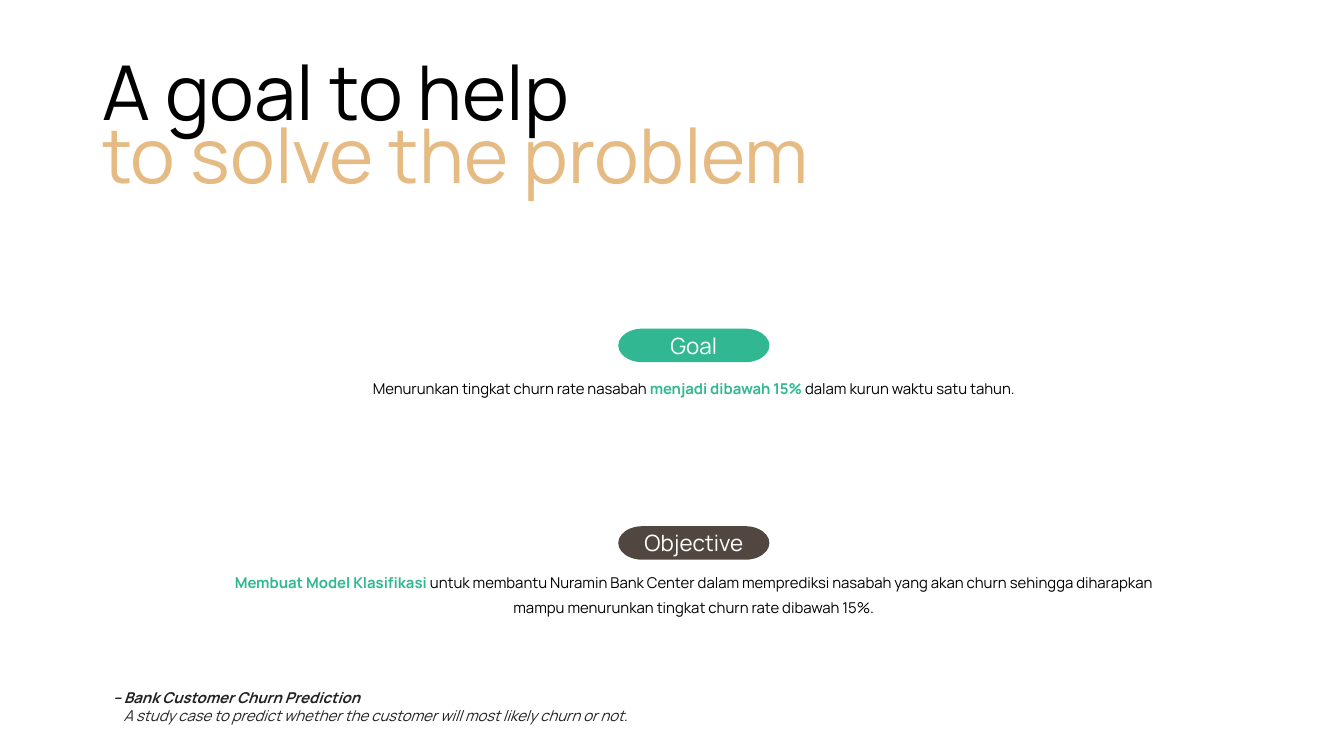
from dataclasses import dataclass
from typing import Any, NamedTuple

from pptx import Presentation, util as u
from pptx.dml import color
from pptx.enum import shapes, text

WIDTH, HEIGHT = u.Inches(20), u.Inches(11.25)
TITLE_ONLY = 5


@dataclass(frozen=True)
class Theme:
    font: str = "Manrope"
    black: str = "000000"
    sand: str = "E5BB83"
    green: str = "31B791"
    brown: str = "524740"
    ink: str = "232324"
    white: str = "FFFFFF"
    title_size: int = 81
    label_size: int = 24
    body_size: int = 16


THEME = Theme()


class Box(NamedTuple):
    """Percentages of the slide's width and height."""
    left: float
    top: float
    width: float
    height: float


class Run(NamedTuple):
    words: str
    color: str
    size: int = THEME.body_size
    bold: bool = False
    italic: bool = False


class Section(NamedTuple):
    label: str
    fill: str
    label_top: float
    body_top: float
    body_height: float
    runs: list[Run]


HEADING_LINES = [
    (Run("A goal to help", THEME.black, THEME.title_size), Box(7.6, 3.47, 44, 14.49)),
    (Run("to solve the problem", THEME.sand, THEME.title_size), Box(7.6, 11.91, 59.95, 14.49)),
]
SECTIONS = [
    Section("Goal", THEME.green, 43.47, 49.24, 3.38, [
        Run("Menurunkan tingkat churn rate nasabah ", THEME.black),
        Run("menjadi dibawah 15% ", THEME.green, bold=True),
        Run("dalam kurun waktu satu tahun.", THEME.black),
    ]),
    Section("Objective", THEME.brown, 69.6, 74.93, 6.67, [
        Run("Membuat Model Klasifikasi ", THEME.green, bold=True),
        Run("untuk membantu Nuramin Bank Center dalam memprediksi nasabah yang akan churn "
            "sehingga diharapkan mampu menurunkan tingkat churn rate dibawah 15%.", THEME.black),
    ]),
]
FOOTER_BOX = Box(7.6, 90.67, 48, 5.69)
FOOTER_LINES = [
    (Run("– Bank Customer Churn Prediction", THEME.ink, bold=True, italic=True), 0.06),
    (Run("A study case to predict whether the customer will most likely churn or not.",
         THEME.ink, italic=True), 0.22),
]


def apply(target: Any, values: dict[str, Any]) -> None:
    for name, value in values.items():
        setattr(target, name, value)


def place(box: Box) -> tuple[int, int, int, int]:
    return (round(WIDTH * box.left / 100), round(HEIGHT * box.top / 100),
            round(WIDTH * box.width / 100), round(HEIGHT * box.height / 100))


def write(paragraph: Any, runs: list[Run], values: dict[str, Any]) -> None:
    apply(paragraph, values)
    for item in runs:
        run = paragraph.add_run()
        run.text = item.words
        apply(run.font, {"name": THEME.font, "size": u.Pt(item.size),
                         "bold": item.bold, "italic": item.italic})
        run.font.color.rgb = color.RGBColor.from_string(item.color)


def set_frame(shape: Any, margin: float = 0) -> Any:
    frame = shape.text_frame
    apply(frame, {"word_wrap": True, "vertical_anchor": text.MSO_ANCHOR.TOP,
                  "auto_size": text.MSO_AUTO_SIZE.SHAPE_TO_FIT_TEXT,
                  "margin_left": u.Inches(2 * margin), "margin_right": u.Inches(2 * margin),
                  "margin_top": u.Inches(margin), "margin_bottom": u.Inches(margin)})
    return frame


def add_heading(slide: Any) -> None:
    (first, first_box), (second, second_box) = HEADING_LINES
    title = slide.shapes.title
    apply(title, dict(zip(("left", "top", "width", "height"), place(first_box))))
    subtitle = slide.shapes.add_textbox(*place(second_box))
    for shape, run in ((title, first), (subtitle, second)):
        write(set_frame(shape).paragraphs[0], [run],
              {"alignment": text.PP_ALIGN.LEFT, "line_spacing": 1.2, "space_before": u.Pt(0)})


def add_section(slide: Any, section: Section) -> None:
    body = slide.shapes.add_textbox(*place(Box(16.8, section.body_top, 69.65, section.body_height)))
    write(set_frame(body).paragraphs[0], section.runs,
          {"alignment": text.PP_ALIGN.CENTER, "line_spacing": 1.4})
    pill = slide.shapes.add_shape(shapes.MSO_SHAPE.FLOWCHART_TERMINATOR,
                                  *place(Box(46, section.label_top, 11.25, 4.44)))
    pill.shadow.inherit = False
    pill.fill.solid()
    pill.fill.fore_color.rgb = color.RGBColor.from_string(section.fill)
    pill.line.fill.background()
    pill.text_frame.vertical_anchor = text.MSO_ANCHOR.MIDDLE
    write(pill.text_frame.paragraphs[0], [Run(section.label, THEME.white, THEME.label_size)],
          {"alignment": text.PP_ALIGN.CENTER})


def add_footer(slide: Any) -> None:
    frame = set_frame(slide.shapes.add_textbox(*place(FOOTER_BOX)), margin=0.05)
    frame.add_paragraph()
    for paragraph, (run, indent) in zip(frame.paragraphs, FOOTER_LINES):
        write(paragraph, [run], {"alignment": text.PP_ALIGN.LEFT})
        paragraph._p.get_or_add_pPr().set("marL", str(u.Inches(indent)))


def main() -> None:
    presentation = Presentation()
    apply(presentation, {"slide_width": WIDTH, "slide_height": HEIGHT})
    slide = presentation.slides.add_slide(presentation.slide_layouts[TITLE_ONLY])
    add_heading(slide)
    for section in SECTIONS:
        add_section(slide, section)
    add_footer(slide)
    presentation.save("out.pptx")


if __name__ == "__main__":
    main()
